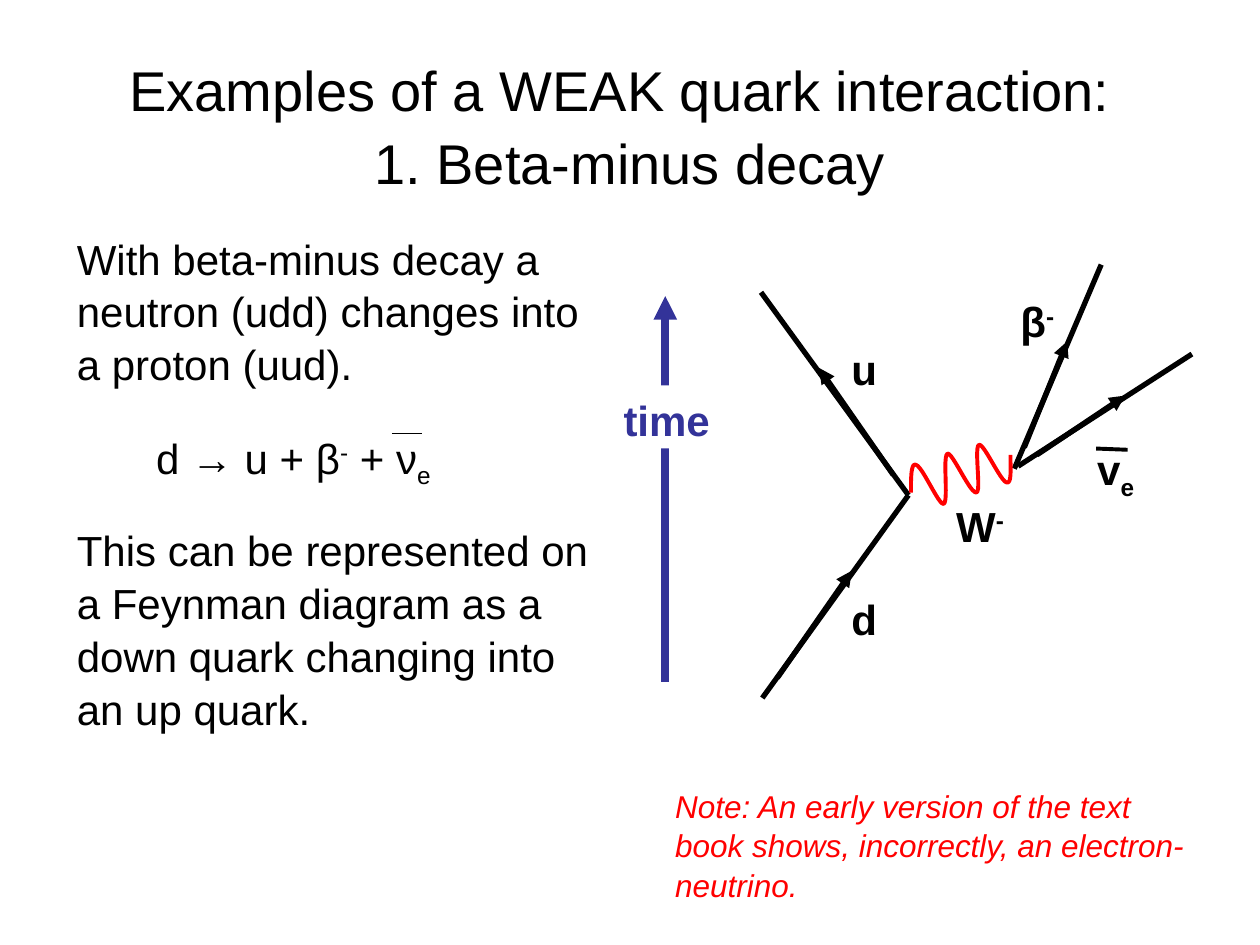
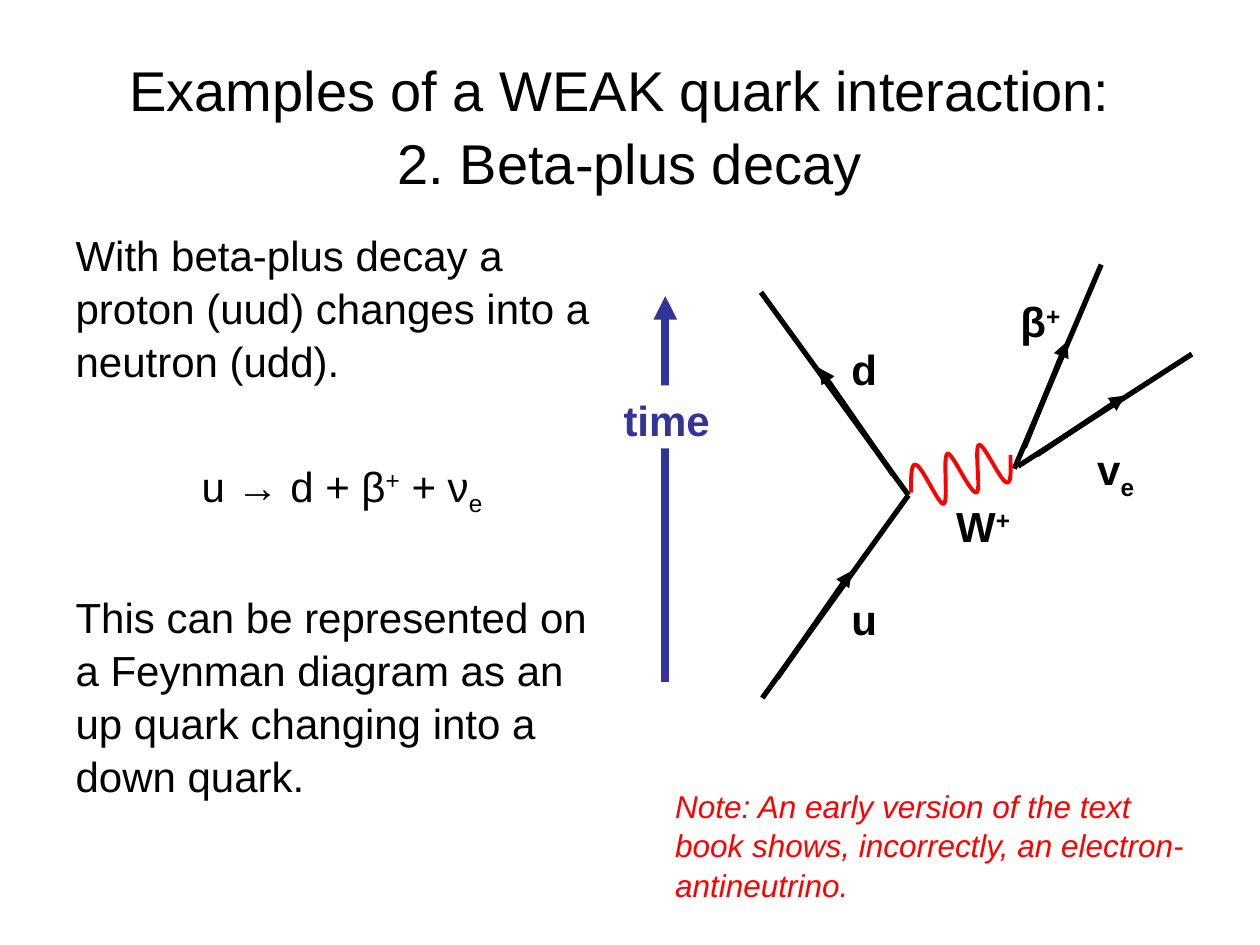
import pptx
import pptx.dml.color
import pptx.enum.shapes
import pptx.enum.text
import pptx.oxml.ns
import pptx.util
from lxml import etree
from pptx.util import Inches

# Shared style
FONT = "Arial"
BLACK, RED, BLUE, WHITE = "000000", "FF0000", "333399", "FFFFFF"
SUPER, SUB = 30, -25
TITLE_START = "Examples of a WEAK quark interaction:"
NOTE_START = "Note: An early version of the text book shows, incorrectly, an "

# Slide content: a run is (text, baseline shift in percent)
ELECTRON_NEUTRINO = [("v", 0), ("e", SUB)]
DECAYS = [
    {
        "title": "1. Beta-minus decay",
        "body_at": (0.51, 1.78),
        "change": "With beta-minus decay a neutron (udd) changes into a proton (uud).",
        "equation": [("d → u + β", 0), ("-", SUPER), (" + ν", 0), ("e", SUB)],
        "diagram": "This can be represented on a Feynman diagram as a down quark "
                   "changing into an up quark.",
        "note": "electron-neutrino.",
        "quark_in": "d", "quark_out": "u", "charge": "-", "antineutrino": True,
    },
    {
        "title": "2. Beta-plus decay",
        "body_at": (0.5, 1.75),
        "change": "With beta-plus decay a proton (uud) changes into a neutron (udd).",
        "equation": [("u → d + β", 0), ("+", SUPER), (" + ν", 0), ("e", SUB)],
        "diagram": "This can be represented on a Feynman diagram as an up quark "
                   "changing into a down quark.",
        "note": "electron-antineutrino.",
        "quark_in": "u", "quark_out": "d", "charge": "+", "antineutrino": False,
    },
]

# Feynman diagram: each particle has a full line and an arrow part way along it
PARTICLE_LINES = [
    ((6.05, 5.54), (7.21, 3.93), (6.17, 5.38), (6.76, 4.53)),
    ((7.21, 3.93), (6.04, 2.32), (7.09, 3.77), (6.5, 2.92)),
    ((8.05, 3.72), (8.74, 2.1), (8.13, 3.55), (8.47, 2.71)),
    ((8.08, 3.7), (9.46, 2.81), (8.23, 3.61), (8.93, 3.14)),
]
BOSON_START = (7.23, 3.91)
BOSON_CURVES = [
    ((7.23, 3.79), (7.23, 3.67), (7.27, 3.69)),
    ((7.32, 3.7), (7.45, 4.01), (7.49, 4)),
    ((7.53, 3.98), (7.48, 3.62), (7.52, 3.6)),
    ((7.56, 3.59), (7.7, 3.92), (7.75, 3.91)),
    ((7.79, 3.9), (7.73, 3.55), (7.77, 3.53)),
    ((7.81, 3.52), (7.94, 3.82), (7.99, 3.83)),
    ((8.03, 3.84), (8.02, 3.73), (8.02, 3.61)),
]
CURVE_STEPS = 12


def color(value):
    return pptx.dml.color.RGBColor.from_string(value)


def add_run(paragraph, text, size=24, fill=BLACK, bold=False, italic=False, shift=0):
    run = paragraph.add_run()
    run.text = text
    font = run.font
    font.name, font.size = FONT, pptx.util.Pt(size)
    font.bold, font.italic = bold, italic
    font.color.rgb = color(fill)
    if shift:
        font._element.set("baseline", str(shift * 1000))


def write(paragraph, runs, before=0, indent=0, **style):
    """Fill a paragraph with plain text or with (text, shift) runs."""
    properties = paragraph._p.get_or_add_pPr()
    properties.set("marL", str(Inches(indent)))
    properties.set("indent", "0")
    etree.SubElement(properties, pptx.oxml.ns.qn("a:buNone"))
    paragraph.line_spacing = 1.05
    paragraph.space_before = pptx.util.Pt(before)
    for text, shift in [(runs, 0)] if isinstance(runs, str) else runs:
        add_run(paragraph, text, shift=shift, **style)


def place(shape, left, top, width, height):
    shape.left, shape.top = Inches(left), Inches(top)
    shape.width, shape.height = Inches(width), Inches(height)


def add_label(slide, runs, left, top, width, height=0.5, **style):
    box = slide.shapes.add_textbox(*map(Inches, (left, top, width, height)))
    box.text_frame.word_wrap = True
    write(box.text_frame.paragraphs[0], runs, **style)
    return box


def add_line(slide, start, end, width=3, fill=BLACK, arrow=False):
    line = slide.shapes.add_connector(
        pptx.enum.shapes.MSO_CONNECTOR.STRAIGHT, *map(Inches, (*start, *end)))
    line.line.width = pptx.util.Pt(width)
    line.line.color.rgb = color(fill)
    if arrow:
        etree.SubElement(line.line._get_or_add_ln(),
                         pptx.oxml.ns.qn("a:tailEnd"), type="triangle")
    etree.SubElement(line._element.spPr, pptx.oxml.ns.qn("a:effectLst"))


def add_boson(slide):
    """Draw the wavy line as short steps along its Bezier curves."""
    points, start = [], BOSON_START
    for first, second, end in BOSON_CURVES:
        for step in range(1, CURVE_STEPS + 1):
            t = step / CURVE_STEPS
            u = 1 - t
            points.append(tuple(
                Inches(u**3 * a + 3 * u * u * t * b + 3 * u * t * t * c + t**3 * d)
                for a, b, c, d in zip(start, first, second, end)))
        start = end
    builder = slide.shapes.build_freeform(*map(Inches, BOSON_START))
    builder.add_line_segments(points, close=False)
    wave = builder.convert_to_shape()
    wave.shadow.inherit = False
    wave.fill.background()
    wave.line.color.rgb = color(RED)
    wave.line.width = pptx.util.Pt(2.25)


def add_title(slide, text):
    title = slide.shapes.title
    place(title, 0.5, 0.3, 9, 1.25)
    frame = title.text_frame
    frame.auto_size = pptx.enum.text.MSO_AUTO_SIZE.NONE
    frame.vertical_anchor = pptx.enum.text.MSO_ANCHOR.MIDDLE
    paragraph = frame.paragraphs[0]
    paragraph.alignment = pptx.enum.text.PP_ALIGN.CENTER
    write(paragraph, TITLE_START, size=32)
    add_run(paragraph, " ", size=40)
    paragraph.add_line_break()
    add_run(paragraph, text, size=32)


def add_body(slide, decay):
    body = slide.placeholders[1]
    place(body, *decay["body_at"], 4.42, 4.95)
    frame = body.text_frame
    frame.auto_size = pptx.enum.text.MSO_AUTO_SIZE.NONE
    frame.vertical_anchor = pptx.enum.text.MSO_ANCHOR.TOP
    write(frame.paragraphs[0], decay["change"])
    if decay["antineutrino"]:
        # The equation has its own box, with a bar above the neutrino
        write(frame.add_paragraph(), decay["diagram"], before=76)
        add_line(slide, (3.11, 3.44), (3.35, 3.44), width=0.75)
        add_label(slide, decay["equation"], 1.14, 3.36, 2.44, 0.56)
    else:
        write(frame.add_paragraph(), decay["equation"], before=41, indent=1)
        write(frame.add_paragraph(), decay["diagram"], before=41)


def add_diagram(slide, decay):
    for start, end, arrow_start, arrow_end in PARTICLE_LINES:
        add_line(slide, arrow_start, arrow_end, arrow=True)
        add_line(slide, start, end)
    add_boson(slide)

    # Particle names
    charge = (decay["charge"], SUPER)
    for runs, left, top, width in [
        (decay["quark_in"], 6.66, 4.64, 0.44),
        (decay["quark_out"], 6.66, 2.66, 0.44),
        ([("β", 0), charge], 8, 2.28, 0.69),
        (ELECTRON_NEUTRINO, 8.61, 3.45, 0.69),
        ([("W", 0), charge], 7.49, 3.9, 0.85),
    ]:
        add_label(slide, runs, left, top, width, bold=True)
    if decay["antineutrino"]:
        add_line(slide, (8.7, 3.56), (8.95, 3.57), width=2.25)

    # Time axis
    add_line(slide, (5.28, 5.41), (5.28, 2.35), width=4.5, fill=BLUE, arrow=True)
    time = add_label(slide, "time", 4.85, 3.06, 1.15, fill=BLUE, bold=True)
    time.fill.solid()
    time.fill.fore_color.rgb = color(WHITE)


def main():
    presentation = pptx.Presentation()
    presentation.slide_width, presentation.slide_height = Inches(10), Inches(7.5)
    for decay in DECAYS:
        slide = presentation.slides.add_slide(presentation.slide_layouts[1])
        add_title(slide, decay["title"])
        add_body(slide, decay)
        add_label(slide, NOTE_START + decay["note"], 5.26, 6.18, 4.39, 1,
                  size=18, fill=RED, italic=True)
        add_diagram(slide, decay)
    presentation.save("out.pptx")


if __name__ == "__main__":
    main()
